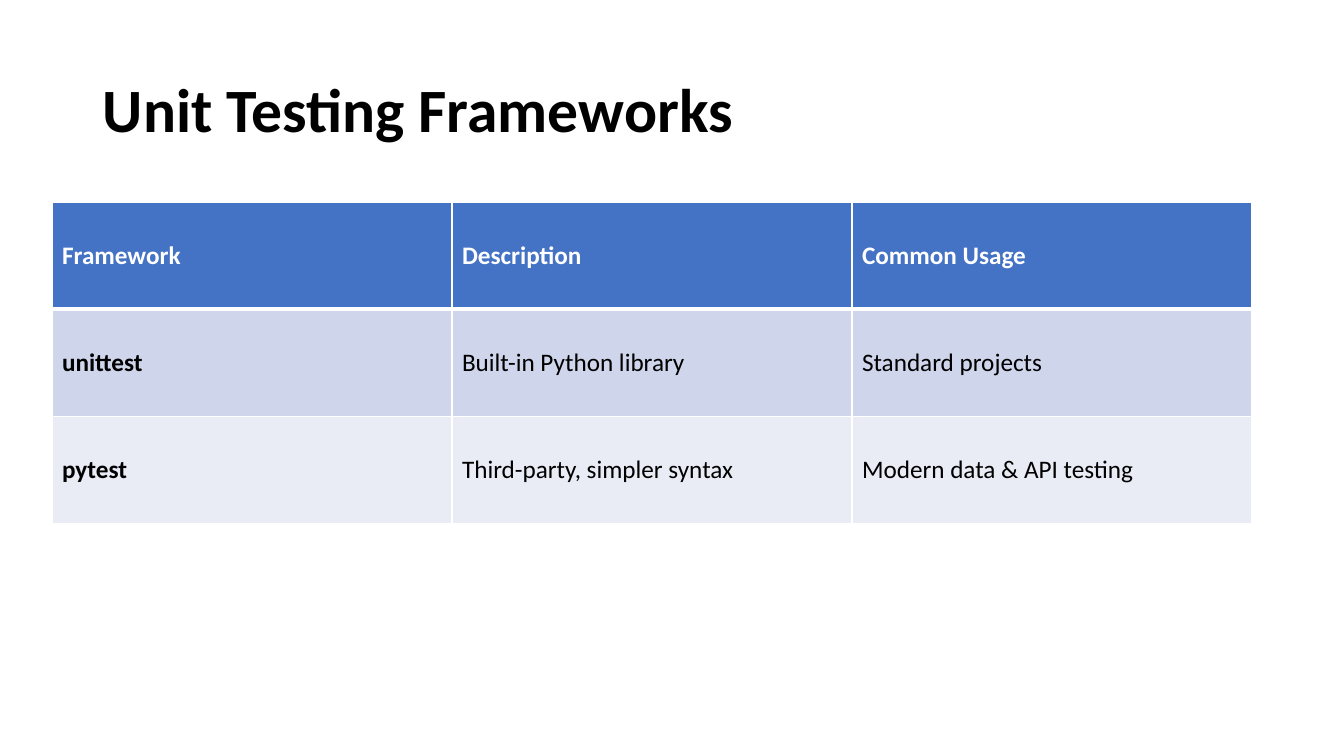
from lxml import etree
from pptx import Presentation
from pptx.dml.color import RGBColor
from pptx.enum.text import MSO_ANCHOR
from pptx.oxml.ns import qn
from pptx.util import Pt

MIDDLE = MSO_ANCHOR.MIDDLE
SCALE = 914400 / 100.8
FONT = "Calibri"
COLOURS = {
    "ink": "000000",
    "paper": "FFFFFF",
    "head": "4472C4",
    "odd": "CFD5EA",
    "even": "E9EBF5",
}
ROWS = [
    ["Framework", "Description", "Common Usage"],
    ["unittest", "Built-in Python library", "Standard projects"],
    ["pytest", "Third-party, simpler syntax", "Modern data & API testing"],
]


def px(n):
    return round(n * SCALE)


def hue(name):
    return RGBColor.from_string(COLOURS[name])


class Deck:
    """Draws styled elements on the current slide."""

    def __init__(self, wide, high):
        self.prs = Presentation()
        self.prs.slide_width, self.prs.slide_height = px(wide), px(high)
        self.slide = self.prs.slides.add_slide(self.prs.slide_layouts[6])

    def run(self, para, text, size, colour, bold):
        run = para.add_run()
        run.text = text
        font = run.font
        font.name, font.size, font.bold = FONT, Pt(size), bold
        font.color.rgb = hue(colour)

    def title(self, text, *box):
        frame = self.slide.shapes.add_textbox(*map(px, box)).text_frame
        frame.word_wrap = True
        frame.vertical_anchor = MIDDLE
        para = frame.paragraphs[0]
        para.line_spacing = 0.9
        self.run(para, text, 44, "ink", True)

    def edge(self, cell, side, width):
        props = cell._tc.get_or_add_tcPr()
        line = etree.SubElement(props, qn(f"a:ln{side}"), w=str(Pt(width)))
        fill = etree.SubElement(line, qn("a:solidFill"))
        etree.SubElement(fill, qn("a:srgbClr"), val=COLOURS["paper"])

    def cell(self, cell, text, row, col):
        for side in "LRTB":
            thick = (row, side) in ((0, "B"), (1, "T"))
            self.edge(cell, side, 3 if thick else 1)
        cell.fill.solid()
        cell.fill.fore_color.rgb = hue(("head", "odd", "even")[row])
        cell.vertical_anchor = MIDDLE
        colour = "ink" if row else "paper"
        bold = row == 0 or col == 0
        self.run(cell.text_frame.paragraphs[0], text, 18, colour, bold)

    def table(self, rows, *box):
        size = len(rows), len(rows[0])
        table = self.slide.shapes.add_table(*size, *map(px, box)).table
        for r, row in enumerate(rows):
            for c, text in enumerate(row):
                self.cell(table.cell(r, c), text, r, c)


def main():
    deck = Deck(1344, 756)
    deck.title("Unit Testing Frameworks", 93, 40, 1159, 146)
    deck.table(ROWS, 52, 202, 1200, 322)
    deck.prs.save("out.pptx")


if __name__ == "__main__":
    main()
